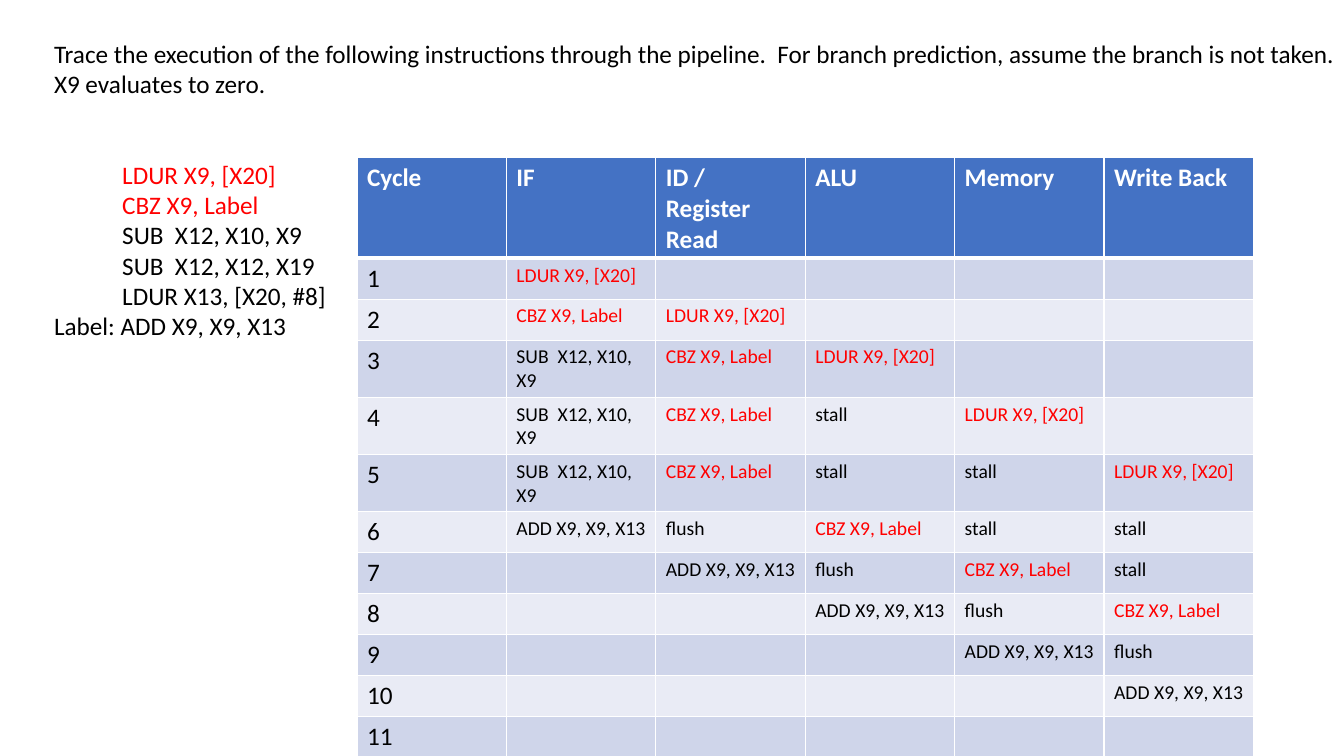
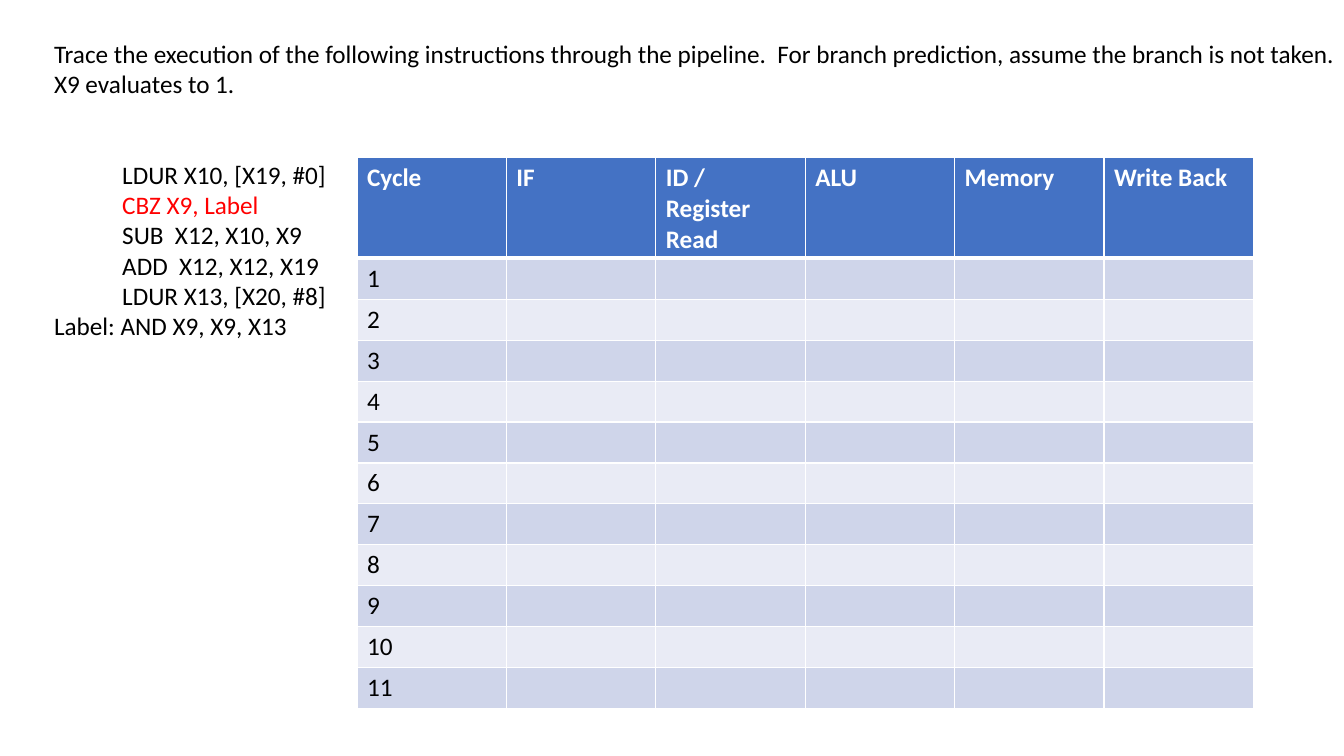
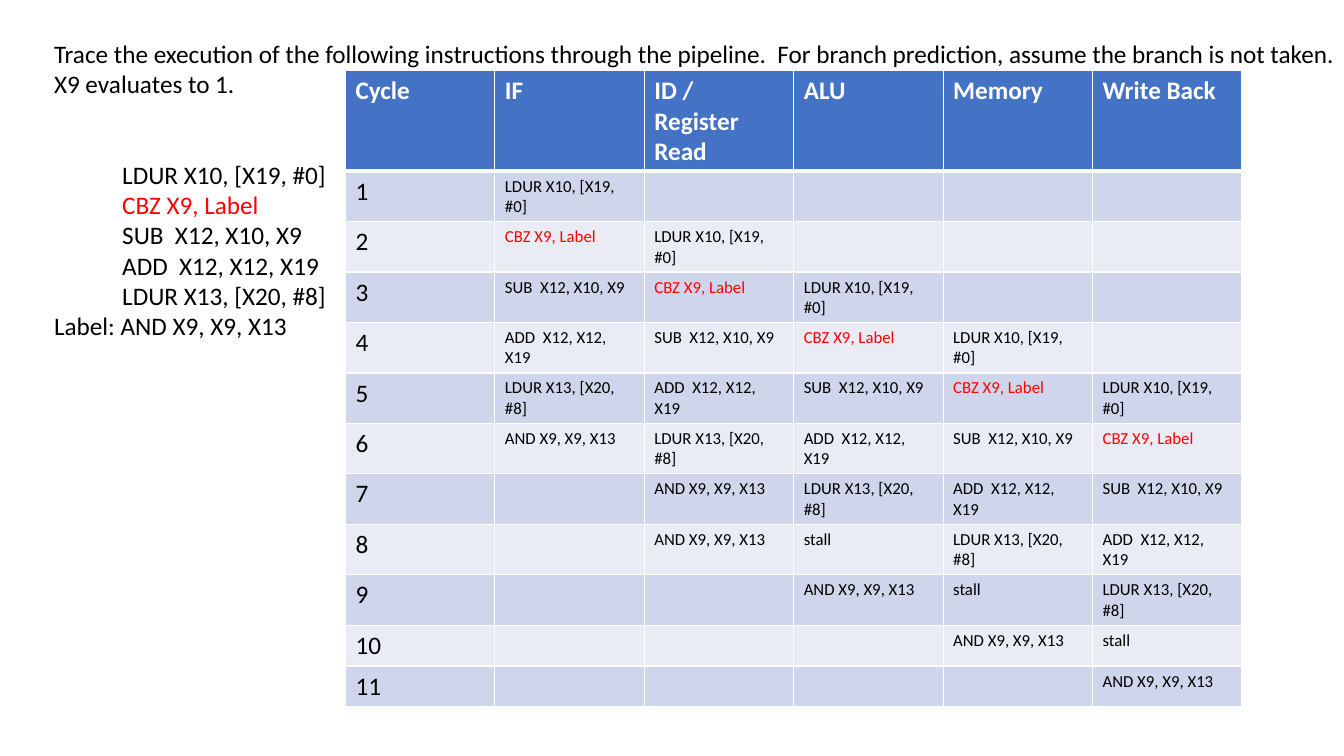
from lxml.etree import fromstring
from pptx import Presentation
from pptx.dml.color import RGBColor as RGB
from pptx.enum.text import MSO_AUTO_SIZE as Fit
from pptx.oxml.ns import nsdecls
from pptx.util import Pt

PX = 9525
FONT = "Calibri"
BLACK = RGB(0x00, 0x00, 0x00)
WHITE = RGB(0xFF, 0xFF, 0xFF)
RED = RGB(0xFF, 0x00, 0x00)
BLUE = RGB(0x44, 0x72, 0xC4)
BANDS = [RGB(0xE9, 0xEB, 0xF5), RGB(0xCF, 0xD5, 0xEA)]

TASK = ("Trace the execution of the following instructions through the pipeline.  "
        "For branch prediction, assume the branch is not taken.")
HEADS = ["Cycle", "IF", "ID / Register Read", "ALU", "Memory", "Write Back"]
CYCLES = 11
ROW = 39
WIDTH = 854
INDENT = " " * 12
RULE = (f'<a:lnB {nsdecls("a")} w="{Pt(3)}"><a:solidFill><a:srgbClr val="{WHITE}"/>'
        '</a:solidFill></a:lnB>')

STALL, FLUSH = "stall", "flush"
CBZ = "CBZ X9, Label"
SUB = "SUB  X12, X10, X9"
LAST = "LDUR X13, [X20, #8]"

# Branch taken: the fetched SUB is flushed
LOAD = "LDUR X9, [X20]"
TARGET = "ADD X9, X9, X13"
TAKEN_CODE = [LOAD, CBZ, SUB, "SUB  X12, X12, X19", LAST]
TAKEN = [
    [LOAD],
    [CBZ, LOAD],
    [SUB, CBZ, LOAD],
    [SUB, CBZ, STALL, LOAD],
    [SUB, CBZ, STALL, STALL, LOAD],
    [TARGET, FLUSH, CBZ, STALL, STALL],
    ["", TARGET, FLUSH, CBZ, STALL],
    ["", "", TARGET, FLUSH, CBZ],
    ["", "", "", TARGET, FLUSH],
    ["", "", "", "", TARGET],
]

# Branch not taken: every instruction runs
FIRST = "LDUR X10, [X19, #0]"
ADD = "ADD  X12, X12, X19"
AND = "AND X9, X9, X13"
PASSED_CODE = [FIRST, CBZ, SUB, ADD, LAST]
PASSED = [
    [FIRST],
    [CBZ, FIRST],
    [SUB, CBZ, FIRST],
    [ADD, SUB, CBZ, FIRST],
    [LAST, ADD, SUB, CBZ, FIRST],
    [AND, LAST, ADD, SUB, CBZ],
    ["", AND, LAST, ADD, SUB],
    ["", AND, STALL, LAST, ADD],
    ["", "", AND, STALL, LAST],
    ["", "", "", AND, STALL],
    ["", "", "", "", AND],
]

# value of X9, code, branch target, red lines, trace, trace size, table left and top
SLIDES = [
    ("zero", TAKEN_CODE, TARGET, {LOAD, CBZ}, TAKEN, 14, 340, 150),
    ("1", PASSED_CODE, AND, {CBZ}, [], 14, 340, 150),
    ("1", PASSED_CODE, AND, {CBZ}, PASSED, 12, 329, 67),
]


def write(para, text, size=18, color=BLACK, bold=False):
    run = para.add_run()
    run.text = text
    font = run.font
    font.name, font.size, font.bold = FONT, Pt(size), bold
    font.color.rgb = color


deck = Presentation()
deck.slide_width, deck.slide_height = 1280 * PX, 720 * PX
blank = deck.slide_layouts[6]

for value, code, target, reds, trace, size, left, top in SLIDES:
    slide = deck.slides.add_slide(blank)

    box = slide.shapes.add_textbox(42 * PX, 32 * PX, 1255 * PX, 300 * PX)
    frame = box.text_frame
    frame.word_wrap = False
    frame.auto_size = Fit.SHAPE_TO_FIT_TEXT
    write(frame.paragraphs[0], TASK)
    write(frame.add_paragraph(), f"X9 evaluates to {value}.")
    for n, line in enumerate(code):
        para = frame.add_paragraph()
        if n == 0:
            para.space_before = Pt(43)
        write(para, INDENT + line, color=RED if line in reds else BLACK)
    write(frame.add_paragraph(), f"Label: {target}")

    table = slide.shapes.add_table(CYCLES + 1, len(HEADS), left * PX, top * PX,
                                   WIDTH * PX, (CYCLES + 1) * ROW * PX).table
    for r, row in enumerate(table.rows):
        row.height = ROW * PX
        for cell in row.cells:
            cell.fill.solid()
            cell.fill.fore_color.rgb = BANDS[r % 2] if r else BLUE
    for c, head in enumerate(HEADS):
        cell = table.cell(0, c)
        cell._tc.get_or_add_tcPr().insert(0, fromstring(RULE))
        write(cell.text_frame.paragraphs[0], head, color=WHITE, bold=True)
    for r in range(1, CYCLES + 1):
        write(table.cell(r, 0).text_frame.paragraphs[0], str(r))
    for r, stages in enumerate(trace, 1):
        for c, text in enumerate(stages, 1):
            if text:
                write(table.cell(r, c).text_frame.paragraphs[0], text, size,
                      RED if text in reds else BLACK)

deck.save("out.pptx")
